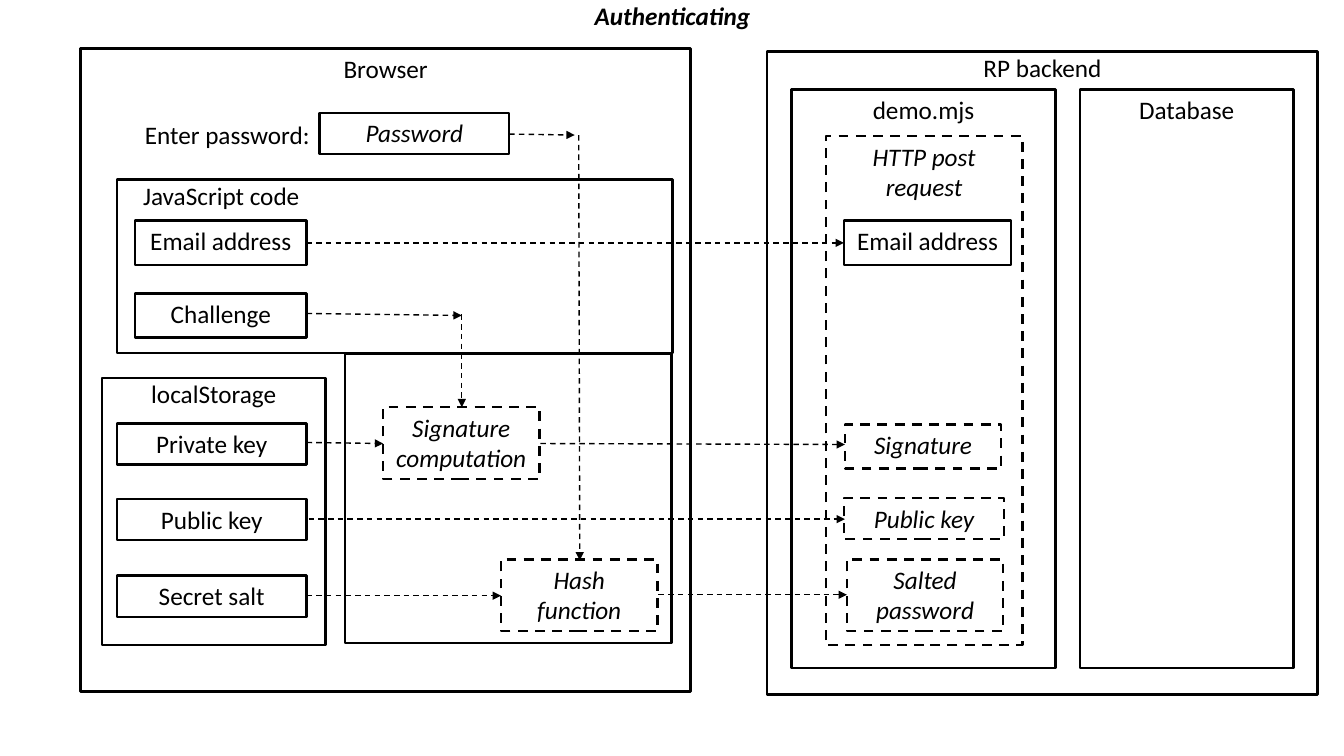
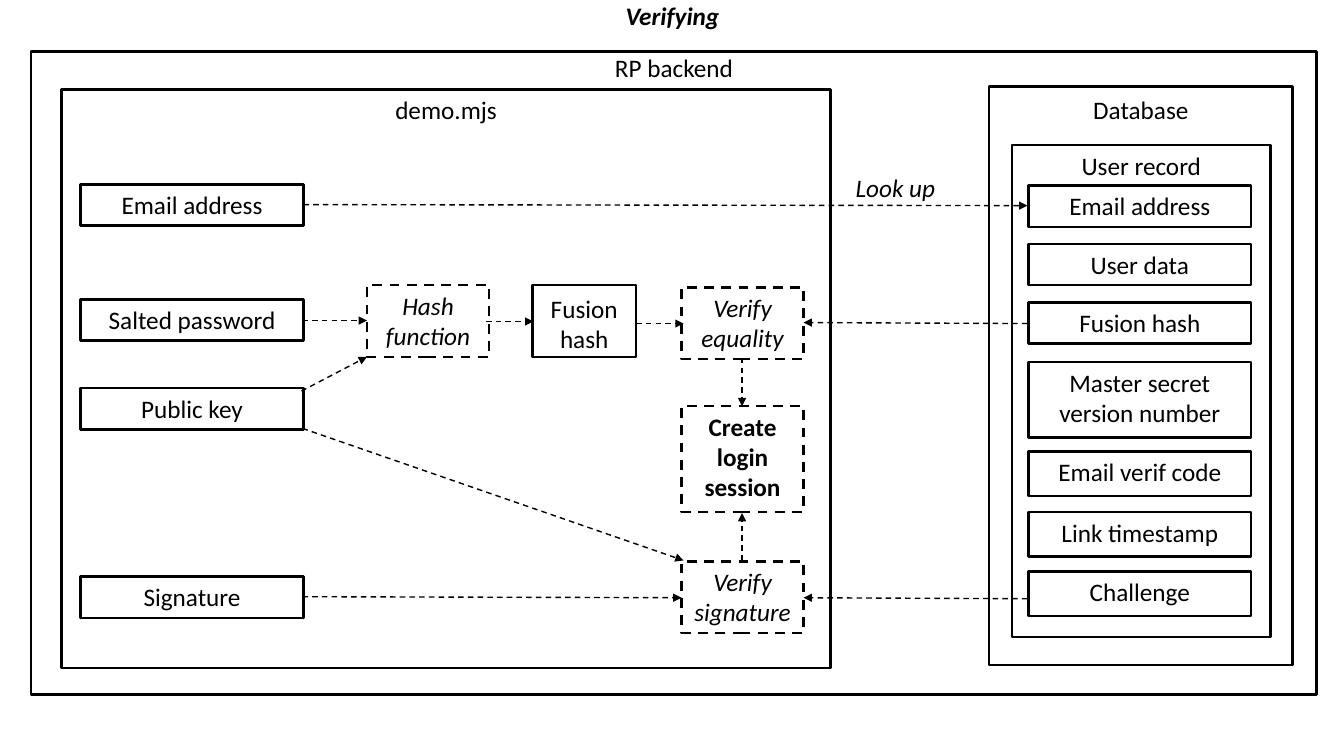
from pptx import Presentation
from pptx.dml.color import RGBColor
from pptx.enum.dml import MSO_LINE
from pptx.enum.shapes import MSO_CONNECTOR, MSO_SHAPE
from pptx.enum.text import MSO_ANCHOR, MSO_AUTO_SIZE, PP_ALIGN
from pptx.oxml.ns import qn
from pptx.util import Inches, Pt
from lxml import etree

RECT = MSO_SHAPE.RECTANGLE
STRAIGHT = MSO_CONNECTOR.STRAIGHT
DASH = MSO_LINE.DASH
CENTER, RIGHT = PP_ALIGN.CENTER, PP_ALIGN.RIGHT
TOP, MIDDLE = MSO_ANCHOR.TOP, MSO_ANCHOR.MIDDLE
FIT_SHAPE = MSO_AUTO_SIZE.SHAPE_TO_FIT_TEXT
TITLE_ONLY = 5

INK = "000000"
FONT = "Calibri"
TEXT_SIZE = 18
BOX_LINE, ARROW_LINE = 1.75, 1
ROW_H, TALL_ROW_H, PAIR_H = 0.41, 0.44, 0.71  # one-line and two-line boxes


def rgb(color):
    return RGBColor.from_string(color)


def at(x, y, w, h):
    return Inches(x), Inches(y), Inches(w), Inches(h)


def write(tf, text, bold=False, italic=False, align=CENTER):
    """Fill a text frame, one paragraph for each line of text."""
    tf.word_wrap = True
    for i, line in enumerate(text.split("\n")):
        p = tf.add_paragraph() if i else tf.paragraphs[0]
        p.alignment = align
        r = p.add_run()
        r.text = line
        font = r.font
        font.name, font.size = FONT, Pt(TEXT_SIZE)
        font.bold, font.italic = bold, italic
        font.color.rgb = rgb(INK)


def stroke(line, width, dashed):
    line.color.rgb = rgb(INK)
    line.width = Pt(width)
    if dashed:
        line.dash_style = DASH


def box(s, text, x, y, w, h, dashed=False, bold=False, italic=False, top=0.05):
    """Outlined box whose text starts at its top edge."""
    sp = s.shapes.add_shape(RECT, *at(x, y, w, h))
    sp.shadow.inherit = False
    sp.fill.background()
    stroke(sp.line, BOX_LINE, dashed)
    if text:
        tf = sp.text_frame
        tf.vertical_anchor = TOP
        tf.margin_top = Inches(top)
        write(tf, text, bold, italic)


def step(s, text, x, y, w, h=PAIR_H):
    """Dashed box for a computed value or an operation."""
    box(s, text, x, y, w, h, dashed=True, italic=True)


def label(s, text, x, y, w, italic=False, align=CENTER):
    sp = s.shapes.add_textbox(*at(x, y, w, 0.4))
    sp.text_frame.auto_size = FIT_SHAPE
    write(sp.text_frame, text, italic=italic, align=align)


def arrow(s, x1, y1, x2, y2):
    c = s.shapes.add_connector(STRAIGHT, Inches(x1), Inches(y1),
                               Inches(x2), Inches(y2))
    stroke(c.line, ARROW_LINE, True)
    etree.SubElement(c.line._get_or_add_ln(), qn("a:tailEnd"), type="triangle")
    etree.SubElement(c._element.spPr, qn("a:effectLst"))


def titled_slide(prs, title):
    s = prs.slides.add_slide(prs.slide_layouts[TITLE_ONLY])
    sp = s.shapes.title
    sp.left, sp.top, sp.width, sp.height = at(0.92, -0.09, 11.5, 0.53)
    tf = sp.text_frame
    tf.vertical_anchor = MIDDLE
    write(tf, title, bold=True, italic=True)
    tf.paragraphs[0].line_spacing = 0.9
    return s


def backend(s, x, w, demo_x, demo_w):
    """Relying party frame with the demo.mjs panel inside."""
    box(s, "RP backend", x, 0.51, w, 6.38, top=0.01)
    box(s, "demo.mjs", demo_x, 0.89, demo_w, 5.74)


def authenticating(prs):
    s = titled_slide(prs, "Authenticating")
    backend(s, 7.61, 5.46, 7.85, 2.62)
    box(s, "Database", 10.71, 0.89, 2.12, 5.74)

    # Browser frame and its panels
    box(s, "Browser", 0.8, 0.48, 6.05, 6.38)
    label(s, "Enter password:", 1.05, 1.13, 2.12, align=RIGHT)
    box(s, "Password", 3.17, 1.12, 1.88, ROW_H, italic=True, top=0.04)
    box(s, "", 1.16, 1.78, 5.51, 1.72)
    label(s, "JavaScript code", 1.16, 1.74, 2.07)
    box(s, "localStorage", 1.01, 3.75, 2.22, 2.65, top=0)
    box(s, "", 3.42, 3.51, 3.24, 2.87)

    # Values held by the browser
    for text, y in (("Email address", 2.19), ("Challenge", 2.91)):
        box(s, text, 1.34, y, 1.7, TALL_ROW_H)
    for text, y in (("Private key", 4.2), ("Public key", 4.95),
                    ("Secret salt", 5.71)):
        box(s, text, 1.16, y, 1.88, ROW_H)
    step(s, "Signature computation", 3.8, 4.04, 1.55)
    step(s, "Hash function", 4.97, 5.55, 1.55)

    # Posted request
    step(s, "HTTP post request", 8.19, 1.35, 1.95, 5.05)
    box(s, "Email address", 8.37, 2.19, 1.66, TALL_ROW_H)
    step(s, "Signature", 8.38, 4.21, 1.55, TALL_ROW_H)
    step(s, "Public key", 8.37, 4.94, 1.59, ROW_H)
    step(s, "Salted password", 8.4, 5.55, 1.55)

    # Data flow
    for ends in (
        (5.05, 1.33, 5.7, 1.34), (5.74, 1.34, 5.75, 5.56),  # password
        (3.04, 2.41, 8.37, 2.41),                           # email address
        (3.04, 3.11, 4.58, 3.13), (4.58, 3.12, 4.58, 4.04),  # challenge
        (3.04, 4.39, 3.8, 4.4), (5.36, 4.4, 8.38, 4.41),    # signature
        (3.06, 5.15, 8.38, 5.15),                           # public key
        (3.04, 5.91, 4.97, 5.91), (6.53, 5.9, 8.4, 5.9),    # salted password
    ):
        arrow(s, *ends)


def verifying(prs):
    s = titled_slide(prs, "Verifying")
    backend(s, 0.31, 12.75, 0.61, 7.63)

    # Received values
    for text, y in (("Email address", 1.83), ("Salted password", 2.97),
                    ("Public key", 3.85), ("Signature", 5.72)):
        box(s, text, 0.8, y, 2.21, ROW_H)

    # Checks
    step(s, "Hash function", 3.64, 2.83, 1.21)
    box(s, "Fusion\nhash", 5.28, 2.83, 1.03, PAIR_H, top=0.08)
    step(s, "Verify equality", 6.76, 2.85, 1.21)
    step(s, "Verify signature", 6.76, 5.57, 1.21)
    box(s, "Create login session", 6.76, 4.03, 1.21, 1.05,
        dashed=True, bold=True)

    # Database with its user record
    box(s, "Database", 9.81, 0.86, 3.01, 5.74, top=0.08)
    box(s, "User record", 10.04, 1.44, 2.56, 4.88)
    for text, y, h in (
        ("Email address", 1.84, ROW_H),
        ("User data", 2.42, ROW_H),
        ("Fusion hash", 3, ROW_H),
        ("Master secret version number", 3.59, 0.75),
        ("Email verif code", 4.48, TALL_ROW_H),
        ("Link timestamp", 5.08, TALL_ROW_H),
        ("Challenge", 5.67, TALL_ROW_H),
    ):
        box(s, text, 10.2, y, 2.21, h)
    label(s, "Look up", 8.02, 1.66, 1.72, italic=True)

    # Data flow
    for ends in (
        (3.01, 2.03, 10.19, 2.04),                            # look up
        (3, 3.18, 3.64, 3.18), (2.99, 3.88, 3.64, 3.54),      # into the hash
        (4.82, 3.19, 5.29, 3.19), (6.31, 3.21, 6.78, 3.21),   # fusion hash
        (10.19, 3.21, 7.97, 3.2),                             # stored hash
        (3, 4.25, 6.78, 5.56), (3, 5.92, 6.76, 5.93),         # into signature
        (10.19, 5.94, 7.97, 5.93),                            # challenge
        (7.36, 3.55, 7.36, 4.03), (7.36, 5.56, 7.36, 5.09),   # login session
    ):
        arrow(s, *ends)


def main():
    prs = Presentation()
    prs.slide_width, prs.slide_height = Inches(13.33), Inches(7.5)
    authenticating(prs)
    verifying(prs)
    prs.save("out.pptx")


main()
